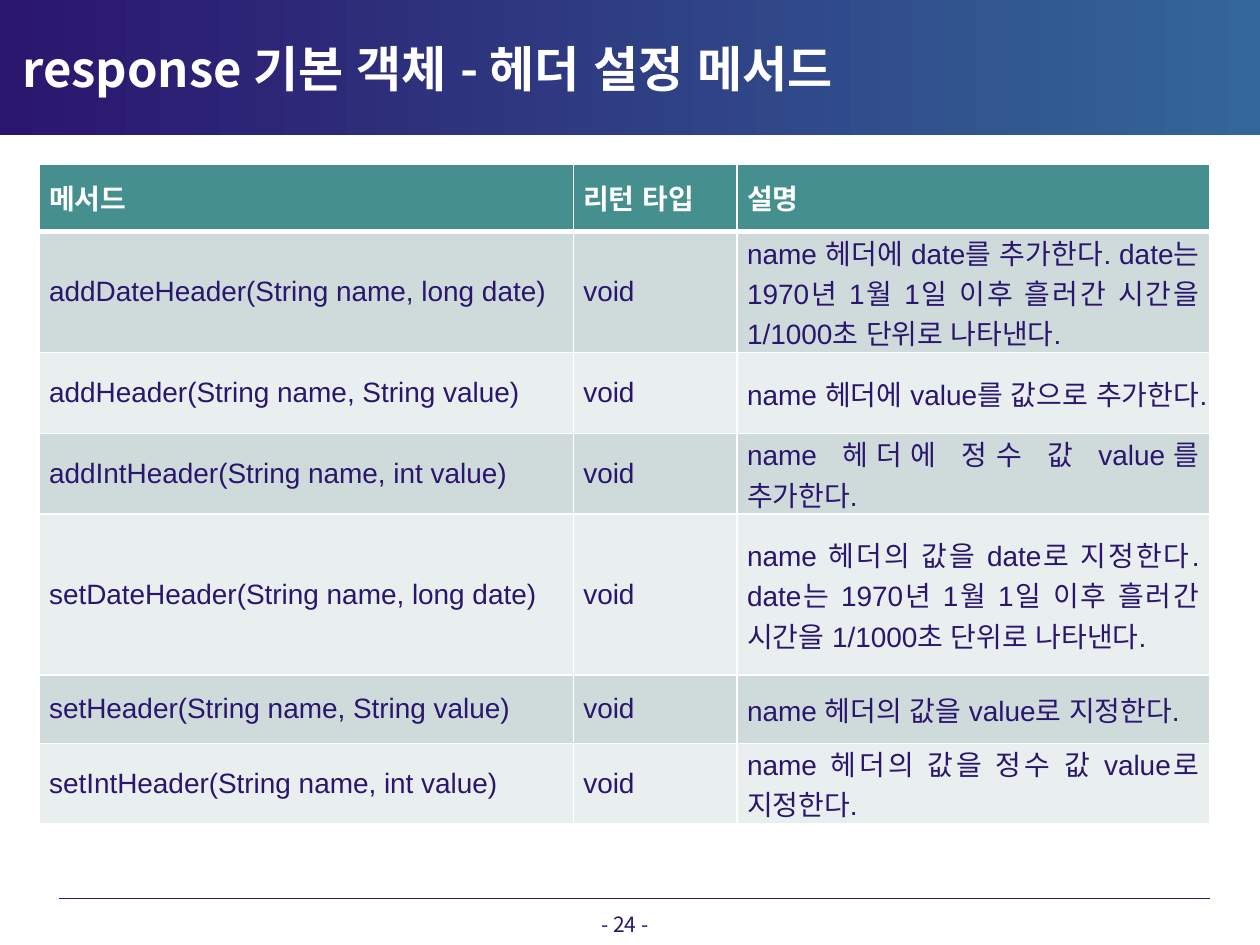
from lxml.etree import SubElement
from pptx import Presentation
from pptx.dml.color import RGBColor
from pptx.enum.shapes import MSO_CONNECTOR, MSO_SHAPE
from pptx.enum.text import MSO_ANCHOR, PP_ALIGN
from pptx.oxml.ns import qn
from pptx.util import Inches, Pt

COLORS = {"ink": "2B166E", "blue": "336699", "white": "FFFFFF",
          "head": "458F8F", "dark": "CFDBDB", "light": "E9EEEE"}
KOREAN = "Noto Sans CJK KR"


def rgb(name):
    return RGBColor.from_string(COLORS[name])


def write(frame, text, size, color, face=KOREAN, bold=False, align=None):
    """Add one run, with the Korean face for its East Asian letters."""
    frame.vertical_anchor = MSO_ANCHOR.MIDDLE
    para = frame.paragraphs[0]
    para.alignment = align
    run = para.add_run()
    run.text = text
    font = run.font
    font.size, font.bold, font.name = Pt(size), bold, face
    font.color.rgb = rgb(color)
    props = run._r.get_or_add_rPr()
    props.set("lang", "ko-KR")
    SubElement(props, qn("a:ea")).set("typeface", KOREAN)


deck = Presentation()
deck.slide_width, deck.slide_height = Inches(10), Inches(7.5)
slide = deck.slides.add_slide(deck.slide_layouts[6])
shapes = slide.shapes

# Footer rule and title band
rule = shapes.add_connector(MSO_CONNECTOR.STRAIGHT, Inches(0.47), Inches(7.13),
                            Inches(9.6), Inches(7.13))
rule.line.color.rgb = rgb("ink")
rule.line.width = Pt(0.75)
SubElement(rule._element.spPr, qn("a:effectLst"))

band = shapes.add_shape(MSO_SHAPE.RECTANGLE, 0, 0, Inches(10), Inches(1.07))
band.shadow.inherit = False
band.line.fill.background()
band.fill.gradient()
band.fill.gradient_angle = 0
for stop, color, place in zip(band.fill.gradient_stops, ("ink", "blue"), (0, 1)):
    stop.color.rgb = rgb(color)
    stop.position = place

# Page number and title
page = shapes.add_textbox(Inches(3.98), Inches(7.22), Inches(1.96), Inches(0.22))
frame = page.text_frame
frame.word_wrap = True
frame.margin_top = frame.margin_bottom = 0
write(frame, "- 24 -", 12, "ink", align=PP_ALIGN.CENTER)

title = shapes.add_textbox(Inches(0.08), Inches(0.23), Inches(7.5), Inches(0.62))
title.text_frame.word_wrap = True
write(title.text_frame, "response 기본 객체 - 헤더 설정 메서드", 28, "white", bold=True)

# Method table: each row with the number of lines in its description
SINCE = "date는 1970년 1월 1일 이후 흘러간 시간을 1/1000초 단위로 나타낸다."
rows = [
    (1, "메서드", "리턴 타입", "설명"),
    (3, "addDateHeader(String name, long date)", "void",
     "name 헤더에 date를 추가한다. " + SINCE),
    (2, "addHeader(String name, String value)", "void",
     "name 헤더에 value를 값으로 추가한다."),
    (2, "addIntHeader(String name, int value)", "void",
     "name 헤더에 정수 값 value를 추가한다."),
    (4, "setDateHeader(String name, long date)", "void",
     "name 헤더의 값을 date로 지정한다. " + SINCE),
    (1, "setHeader(String name, String value)", "void",
     "name 헤더의 값을 value로 지정한다."),
    (2, "setIntHeader(String name, int value)", "void",
     "name 헤더의 값을 정수 값 value로 지정한다."),
]
LINE, LEAST = 0.32, 0.54
widths = [4.24, 1.3, 3.75]
heights = [max(LEAST, LINE * row[0]) for row in rows]
table = shapes.add_table(len(rows), len(widths), Inches(0.31), Inches(1.3),
                         Inches(sum(widths)), Inches(sum(heights))).table
for col, width in zip(table.columns, widths):
    col.width = Inches(width)

for i, (row, height) in enumerate(zip(rows, heights)):
    table.rows[i].height = Inches(height)
    head = i == 0
    fill = "head" if head else ("light", "dark")[i % 2]
    for j, text in enumerate(row[1:]):
        cell = table.cell(i, j)
        cell.margin_left = cell.margin_right = Inches(0.08)
        cell.margin_top = cell.margin_bottom = 0
        write(cell.text_frame, text, 16, "white" if head else "ink",
              "Arial", head, PP_ALIGN.JUSTIFY)
        cell.vertical_anchor = MSO_ANCHOR.MIDDLE
        props = cell._tc.get_or_add_tcPr()
        for side in "LRTB":
            thick = (head and side == "B") or (i == 1 and side == "T")
            edge = SubElement(props, qn("a:ln" + side), w=str(Pt(3 if thick else 1)))
            solid = SubElement(edge, qn("a:solidFill"))
            SubElement(solid, qn("a:srgbClr"), val=COLORS["white"])
        cell.fill.solid()
        cell.fill.fore_color.rgb = rgb(fill)

deck.save("out.pptx")
